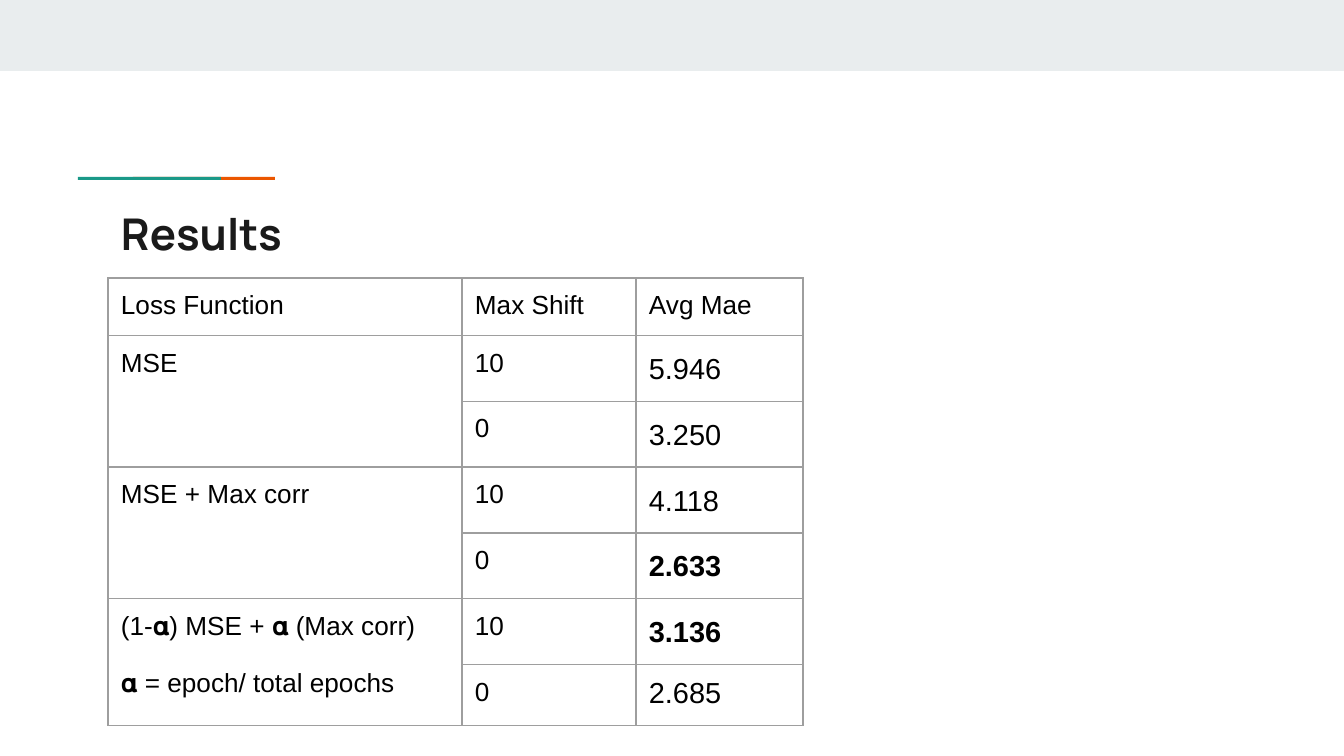
import pptx
import pptx.util
import pptx.dml.color
import pptx.enum.shapes
import pptx.enum.text
from lxml import etree

COLORS = {"band": "E9EDEE", "orange": "EB5600", "teal": "1A9988",
          "title": "1A1A1A", "text": "000000", "border": "9E9E9E"}
HEADERS = ["Loss Function", "Max Shift", "Avg Mae"]
LOSSES = [
    (["MSE"], [("10", "5.946", False), ("0", "3.250", False)]),
    (["MSE + Max corr"], [("10", "4.118", False), ("0", "2.633", True)]),
    (["(1-𝛂) MSE + 𝛂 (Max corr)", "𝛂 = epoch/ total epochs"],
     [("10", "3.136", True), ("0", "2.685", False)]),
]
BARS = [("band", 0, 0, 1344, 71), ("orange", 133, 177, 142, 3),
        ("teal", 78, 177, 143, 3)]
COLUMN_WIDTHS = [354, 174, 167]
ROW_HEIGHTS = [56, 64, 64, 64, 64, 64, 59]
INSET = 13


def px(length):
    return pptx.util.Emu(round(length * 914400 / 134.4))


def rgb(name):
    return pptx.dml.color.RGBColor.from_string(COLORS[name])


def write(frame, lines, size=14, font="Arial", color="text", bold=False,
          spacing=None, gap=15):
    frame.word_wrap = True
    for index, line in enumerate(lines):
        paragraph = frame.paragraphs[0] if index == 0 else frame.add_paragraph()
        if index:
            paragraph.space_before = pptx.util.Pt(gap)
        if spacing:
            paragraph.line_spacing = spacing
        run = paragraph.add_run()
        run.text = line
        run.font.size = pptx.util.Pt(size)
        run.font.name = font
        run.font.bold = bold
        run.font.color.rgb = rgb(color)


def set_margins(box):
    box.margin_left = box.margin_right = px(INSET)
    box.margin_top = box.margin_bottom = px(INSET)


def add_borders(cell):
    properties = cell._tc.get_or_add_tcPr()
    for index, side in enumerate(("lnL", "lnR", "lnT", "lnB")):
        line = etree.fromstring(
            f'<a:{side} xmlns:a="http://schemas.openxmlformats.org/drawingml/2006/main" '
            f'w="9525"><a:solidFill><a:srgbClr val="{COLORS["border"]}"/>'
            f'</a:solidFill></a:{side}>')
        properties.insert(index, line)


def main():
    deck = pptx.Presentation()
    deck.slide_width, deck.slide_height = px(1344), px(756)
    slide = deck.slides.add_slide(deck.slide_layouts[6])

    for color, *place in BARS:
        bar = slide.shapes.add_shape(
            pptx.enum.shapes.MSO_SHAPE.RECTANGLE, *map(px, place))
        bar.shadow.inherit = False
        bar.fill.solid()
        bar.fill.fore_color.rgb = rgb(color)
        bar.line.fill.background()

    title = slide.shapes.add_textbox(*map(px, (108, 194, 1130, 79))).text_frame
    set_margins(title)
    title.vertical_anchor = pptx.enum.text.MSO_ANCHOR.MIDDLE
    write(title, ["Results"], size=23.4, font="Manrope", color="title", bold=True)

    results = slide.shapes.add_table(
        len(ROW_HEIGHTS), len(HEADERS), px(108), px(278),
        px(sum(COLUMN_WIDTHS)), px(sum(ROW_HEIGHTS))).table
    results.first_row = results.horz_banding = False
    for column, width in zip(results.columns, COLUMN_WIDTHS):
        column.width = px(width)
    for row, height in zip(results.rows, ROW_HEIGHTS):
        row.height = px(height)
    for cell in results.iter_cells():
        set_margins(cell)
        cell.fill.background()
        add_borders(cell)

    for column, header in enumerate(HEADERS):
        write(results.cell(0, column).text_frame, [header])
    top = 1
    for loss, scores in LOSSES:
        loss_cell = results.cell(top, 0)
        loss_cell.merge(results.cell(top + len(scores) - 1, 0))
        write(loss_cell.text_frame, loss)
        for row, (shift, error, best) in enumerate(scores, top):
            write(results.cell(row, 1).text_frame, [shift])
            write(results.cell(row, 2).text_frame, [error], size=15.5, bold=best,
                  spacing=1.15 if row < len(ROW_HEIGHTS) - 1 else None)
        top += len(scores)

    deck.save("out.pptx")


if __name__ == "__main__":
    main()
